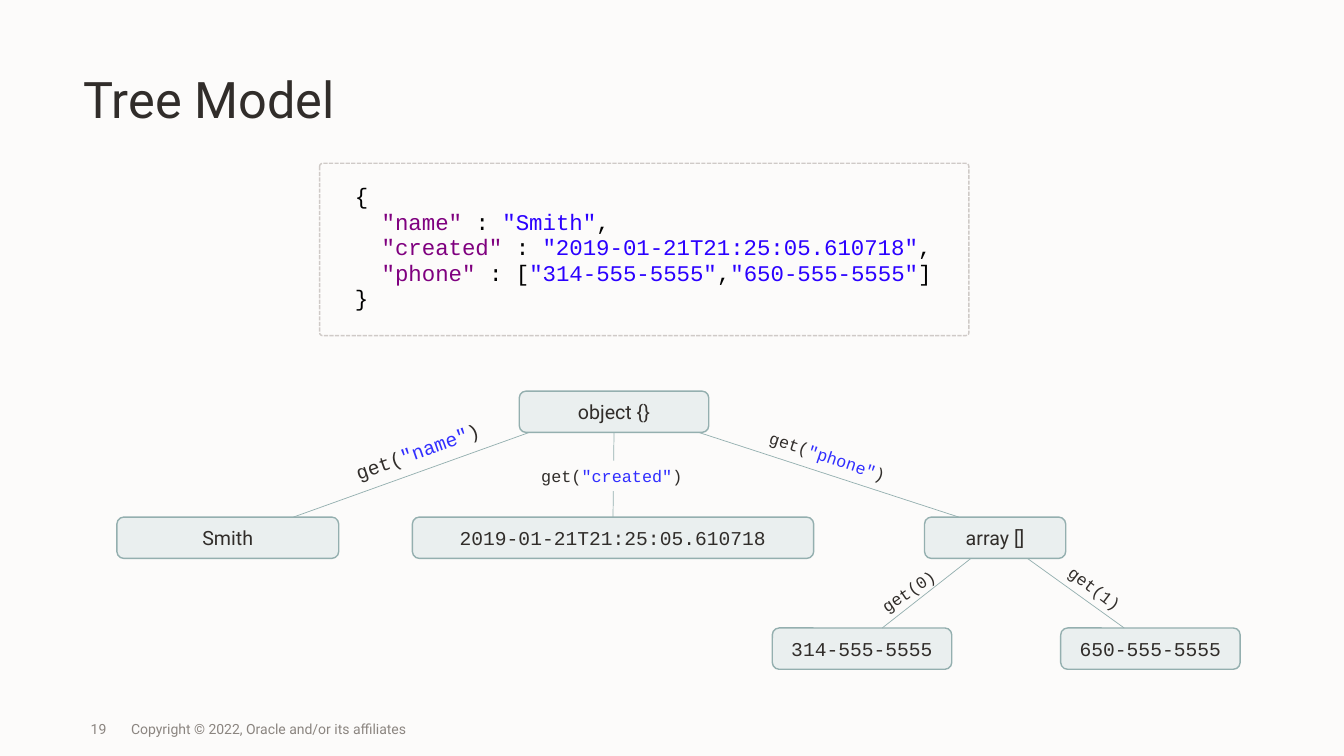
from lxml.etree import SubElement
from pptx import Presentation
from pptx.dml.color import RGBColor
from pptx.enum.dml import MSO_LINE
from pptx.enum.shapes import MSO_CONNECTOR, MSO_SHAPE
from pptx.enum.text import MSO_ANCHOR, PP_ALIGN
from pptx.oxml.ns import qn
from pptx.util import Inches, Pt

SANS, MONO = "Roboto", "Courier New"
BACKGROUND, INK, MUTED, BLACK = "FCFBFA", "312D2A", "8B8580", "000000"
NODE_FILL, NODE_LINE, FRAME_LINE = "EAEFEF", "94AFAF", "CFCAC7"
KEY, VALUE, ARGUMENT = "7F007F", "2A00FF", "312EFF"

CODE = [
    [("{", BLACK)],
    [('  "name" ', KEY), (": ", BLACK), ('"Smith"', VALUE), (",", BLACK)],
    [('  "created" ', KEY), (": ", BLACK),
     ('"2019-01-21T21:25:05.610718"', VALUE), (",", BLACK)],
    [('  "phone" ', KEY), (": [", BLACK), ('"314-555-5555"', VALUE),
     (",", BLACK), ('"650-555-5555"', VALUE), ("]", BLACK)],
    [("}", BLACK)],
]
ROOT_Y, CHILD_Y, LEAF_Y = 3.88, 5.13, 6.23
NODE_H = 0.41
NODES = [
    ("object {}", 5.15, ROOT_Y, 1.88, SANS),
    ("Smith", 1.16, CHILD_Y, 2.2, SANS),
    ("2019-01-21T21:25:05.610718", 4.09, CHILD_Y, 3.98, MONO),
    ("array []", 9.17, CHILD_Y, 1.4, SANS),
    ("314-555-5555", 7.66, LEAF_Y, 1.78, MONO),
    ("650-555-5555", 10.52, LEAF_Y, 1.78, MONO),
]
EDGES = [
    (5.25, ROOT_Y, 2.91, CHILD_Y),
    (6.09, ROOT_Y, 6.08, CHILD_Y),
    (6.93, ROOT_Y, 9.51, CHILD_Y),
    (9.63, CHILD_Y, 8.75, LEAF_Y),
    (10.19, CHILD_Y, 11.15, LEAF_Y),
]
CALLS = [
    ('"name"', ARGUMENT, (3.4, 4.31, 1.49, 0.34), 340.5, 14),
    ('"created"', ARGUMENT, (5.27, 4.57, 1.63, 0.3), 0, 12),
    ('"phone"', ARGUMENT, (7.51, 4.38, 1.42, 0.3), 18.4, 12),
    ("0", INK, (8.61, 5.71, 0.81, 0.3), 325.6, 12),
    ("1", INK, (10.46, 5.69, 0.81, 0.3), 37.4, 12),
]


def rgb(color):
    return RGBColor.from_string(color)


def style_run(r, font, size, color):
    r.font.name = font
    r.font.size = Pt(size)
    r.font.color.rgb = rgb(color)


def add_text(s, box, lines, font, size, inset=0.0, spacing=1.0,
             anchor=MSO_ANCHOR.MIDDLE, wrap=True):
    sp = s.shapes.add_textbox(*map(Inches, box))
    tf = sp.text_frame
    tf.word_wrap = wrap
    tf.vertical_anchor = anchor
    tf.margin_left = tf.margin_right = Inches(inset)
    tf.margin_top = tf.margin_bottom = Inches(min(inset, 0.05) if not wrap else inset)
    for i, line in enumerate(lines):
        p = tf.add_paragraph() if i else tf.paragraphs[0]
        p.line_spacing = spacing
        for text, color in line:
            r = p.add_run()
            r.text = text
            style_run(r, font, size, color)
    return sp


def add_round_rect(s, box, line_color):
    sp = s.shapes.add_shape(MSO_SHAPE.ROUNDED_RECTANGLE, *map(Inches, box))
    sp.shadow.inherit = False
    sp.fill.background()
    sp.line.color.rgb = rgb(line_color)
    sp.line.width = Pt(1)
    return sp


def add_code_frame(s):
    sp = add_round_rect(s, (3.17, 1.62, 6.44, 1.71), FRAME_LINE)
    sp.adjustments[0] = 0.018
    sp.line.dash_style = MSO_LINE.SQUARE_DOT


def add_node(s, text, x, y, w, font):
    sp = add_round_rect(s, (x, y, w, NODE_H), NODE_LINE)
    sp.fill.solid()
    sp.fill.fore_color.rgb = rgb(NODE_FILL)
    tf = sp.text_frame
    tf.text = text
    tf.vertical_anchor = MSO_ANCHOR.MIDDLE
    p = tf.paragraphs[0]
    p.alignment = PP_ALIGN.CENTER
    style_run(p.runs[0], font, 14, INK)


def add_edge(s, x1, parent_y, x2, child_y):
    ends = (x1, parent_y + NODE_H, x2, child_y)
    c = s.shapes.add_connector(MSO_CONNECTOR.STRAIGHT, *map(Inches, ends))
    c.line.color.rgb = rgb(NODE_LINE)
    c.line.width = Pt(0.5)
    SubElement(c._element.spPr, qn("a:effectLst"))


def add_call(s, argument, color, box, rotation, size):
    runs = [("get(", INK), (argument, color), (")", INK)]
    sp = add_text(s, box, [runs], MONO, size, inset=0.1,
                  anchor=MSO_ANCHOR.TOP, wrap=False)
    sp.rotation = rotation
    if not rotation:
        sp.fill.solid()
        sp.fill.fore_color.rgb = rgb(BACKGROUND)


def main():
    prs = Presentation()
    prs.slide_width, prs.slide_height = Inches(13.33), Inches(7.5)
    s = prs.slides.add_slide(prs.slide_layouts[6])
    s.background.fill.solid()
    s.background.fill.fore_color.rgb = rgb(BACKGROUND)

    add_code_frame(s)
    add_text(s, (0.83, 0.56, 11.67, 0.9), [[("Tree Model", INK)]], SANS, 36,
             spacing=0.95)
    add_text(s, (0.9, 7.03, 0.4, 0.4), [[("19", MUTED)]], SANS, 10)
    add_text(s, (1.3, 7.03, 6.28, 0.4),
             [[("Copyright © 2022, Oracle and/or its affiliates", MUTED)]],
             SANS, 10)
    add_text(s, (3.32, 1.63, 7.33, 1.68), CODE, MONO, 16, inset=0.2,
             spacing=0.95, anchor=MSO_ANCHOR.TOP)
    for node in NODES:
        add_node(s, *node)
    for edge in EDGES:
        add_edge(s, *edge)
    for call in CALLS:
        add_call(s, *call)
    prs.save("out.pptx")


if __name__ == "__main__":
    main()
